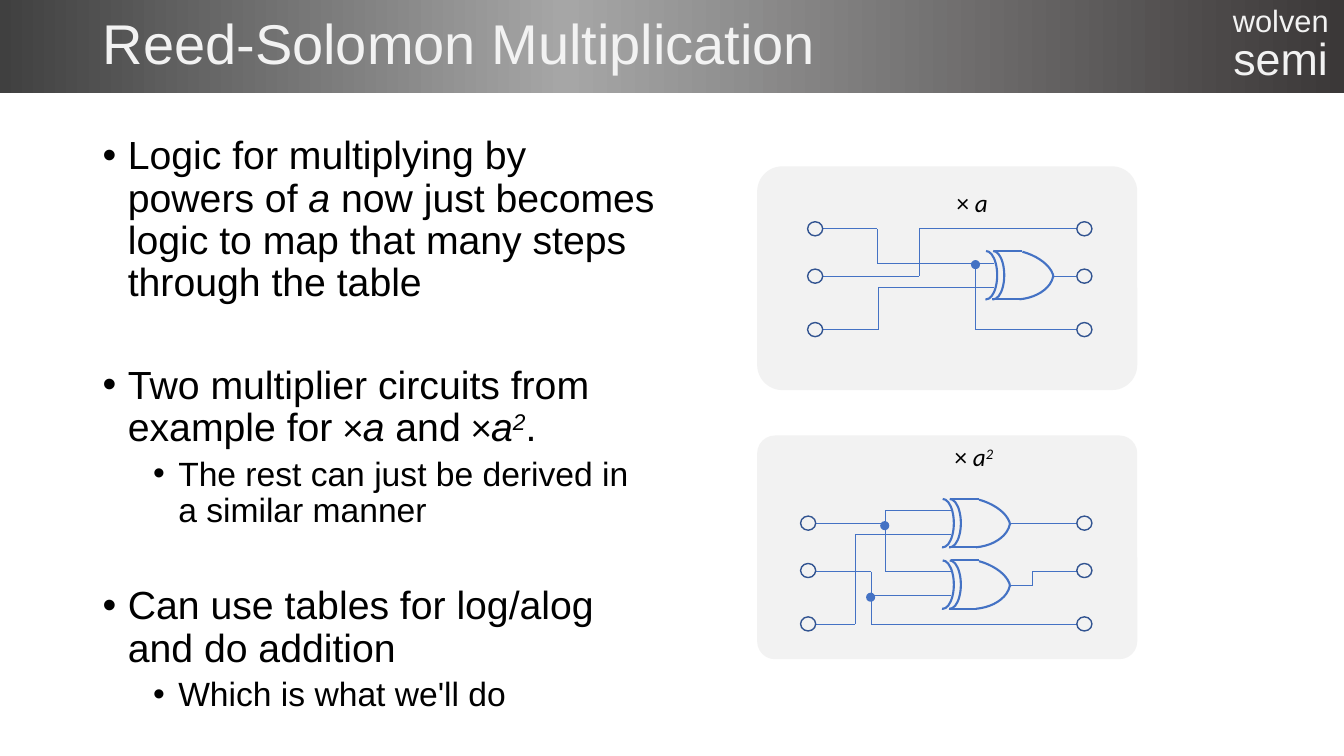
from copy import deepcopy

from lxml.etree import SubElement
from pptx import Presentation
from pptx.dml.color import RGBColor
from pptx.enum.shapes import MSO_CONNECTOR, MSO_SHAPE
from pptx.enum.text import MSO_ANCHOR, PP_ALIGN
from pptx.oxml.ns import qn
from pptx.util import Pt

PX = 9144
BLACK = RGBColor(0x00, 0x00, 0x00)
PALE = RGBColor(0xF2, 0xF2, 0xF2)
WIRE = RGBColor(0x44, 0x72, 0xC4)
PORT = RGBColor(0x32, 0x54, 0x91)
BAND_STOPS = [
    (0, RGBColor(0x40, 0x40, 0x40)),
    (0.42, RGBColor(0xA6, 0xA6, 0xA6)),
    (1, RGBColor(0x3B, 0x38, 0x38)),
]

deck = Presentation()
deck.slide_width, deck.slide_height = 1333 * PX, 750 * PX
page = deck.slides.add_slide(deck.slide_layouts[6])


def add_outline(kind, bounds, fill=None, line=None, weight=1, adjustments=()):
    shape = page.shapes.add_shape(kind, *(length * PX for length in bounds))
    shape.shadow.inherit = False
    if fill is None:
        shape.fill.background()
    else:
        shape.fill.solid()
        shape.fill.fore_color.rgb = fill
    if line is None:
        shape.line.fill.background()
    else:
        shape.line.color.rgb = line
        shape.line.width = Pt(weight)
    for index, value in enumerate(adjustments):
        shape.adjustments[index] = value
    return shape


def add_text(bounds, paragraphs, size, color, frame_format, font_name="Arial"):
    box = page.shapes.add_textbox(*(length * PX for length in bounds))
    frame = box.text_frame
    for name, value in frame_format.items():
        setattr(frame, name, value)
    for index, (para_format, spans) in enumerate(paragraphs):
        para = frame.add_paragraph() if index else frame.paragraphs[0]
        for name, value in para_format.items():
            setattr(para, name, value)
        for text, span_format in spans:
            span = para.add_run()
            span.text = text
            span.font.color.rgb = color
            values = {"size": Pt(size), "name": font_name, **span_format}
            baseline = values.pop("baseline", None)
            for name, value in values.items():
                setattr(span.font, name, value)
            if baseline:
                span.font._element.set("baseline", str(baseline))
    return box


band = add_outline(MSO_SHAPE.RECTANGLE, (0, 0, 1333, 92))
band.fill.gradient()
band.fill.gradient_angle = 0
stop_list = band._element.spPr.find(".//" + qn("a:gsLst"))
stop_list.append(deepcopy(stop_list[0]))
for stop, (position, color) in zip(band.fill.gradient_stops, BAND_STOPS):
    stop.position = position
    stop.color.rgb = color

wrapped = {"word_wrap": True}
unwrapped = {"word_wrap": False}
italic = {"italic": True}
superscript = {"italic": True, "baseline": 30000}
times = {"name": "Calibri"}
small = {"size": Pt(24)}

add_text((1183, 26, 144, 64), [({"alignment": PP_ALIGN.RIGHT}, [("semi", {})])], 32, PALE, wrapped)
add_text((1213, -3, 118, 47), [({}, [("wolven", {})])], 22, PALE, unwrapped)
add_text(
    (92, 0, 1001, 92),
    [({"line_spacing": 0.9}, [("Reed-Solomon Multiplication", {})])],
    40, PALE, {"word_wrap": True, "vertical_anchor": MSO_ANCHOR.MIDDLE},
)

bullets = [
    (0, 10, [("Logic for multiplying by powers of ", {}), ("a", italic),
             (" now just becomes logic to map that many steps through the table", {})]),
    (0, 43, [("Two multiplier circuits from example for ", {}), ("×", times), ("a", italic),
             (" and ", {}), ("×", times), ("a", italic), ("2", superscript), (".", {})]),
    (1, 5, [("The rest can just be derived in a similar manner", small)]),
    (0, 40, [("Can use tables for log/alog and do addition", {})]),
    (1, 5, [("Which is what we'll do", small)]),
]
body = add_text(
    (92, 130, 567, 582),
    [({"level": level, "line_spacing": 0.9, "space_before": Pt(gap)}, spans)
     for level, gap, spans in bullets],
    28, BLACK, wrapped,
)
for para, (level, gap, spans) in zip(body.text_frame.paragraphs, bullets):
    properties = para._p.get_or_add_pPr()
    properties.set("marL", str((25 + 50 * level) * PX))
    properties.set("indent", str(-25 * PX))
    SubElement(properties, qn("a:buFont")).set("typeface", "Arial")
    SubElement(properties, qn("a:buChar")).set("char", "•")

circuits = [
    {
        "panel_top": 165, "corner": 0.113, "ports": (801, 1068, 220),
        "gates": [(967, 249)], "dots": [(963, 258)],
        "wires": [
            [(816, 227), (870, 227), (870, 261), (986, 261)],
            [(816, 274), (912, 274), (912, 227), (1067, 227)],
            [(816, 327), (871, 327), (871, 285), (986, 285)],
            [(967, 261), (967, 327), (1067, 327)],
            [(1045, 274), (1067, 274)],
        ],
        "label": (939, 181, 52, 40), "power": [], "wrap": unwrapped,
    },
    {
        "panel_top": 432, "corner": 0.08, "ports": (794, 1068, 512),
        "gates": [(924, 495), (924, 556)], "dots": [(873, 517), (859, 588)],
        "wires": [
            [(809, 519), (878, 519)],
            [(943, 506), (878, 506), (878, 567), (943, 567)],
            [(808, 619), (848, 619), (848, 530), (943, 530)],
            [(809, 567), (864, 567), (864, 619), (1068, 619)],
            [(864, 591), (943, 591)],
            [(1002, 519), (1068, 519)],
            [(1002, 581), (1024, 581), (1024, 567), (1068, 567)],
        ],
        "label": (937, 433, 72, 40), "power": [("2", superscript)], "wrap": wrapped,
    },
]

for circuit in circuits:
    add_outline(MSO_SHAPE.ROUNDED_RECTANGLE, (751, circuit["panel_top"], 377, 222),
                fill=PALE, adjustments=[circuit["corner"]])

    strokes = [(wire, 0.5) for wire in circuit["wires"]]
    for left, top in circuit["gates"]:
        for offset in (0, 7):
            add_outline(MSO_SHAPE.ARC, (left + offset, top, 22, 48),
                        line=WIRE, weight=1.5, adjustments=(162, 55.014))
        upper = add_outline(MSO_SHAPE.ARC, (left + 4, top, 75, 42),
                            line=WIRE, weight=1.5, adjustments=(162, 211.499))
        upper.rotation = 15.4
        lower = add_outline(MSO_SHAPE.ARC, (left + 6, top - 1, 72, 49),
                            line=WIRE, weight=1.5, adjustments=(162, 211.499))
        lower.rotation = 355.1
        lower._element.spPr.find(qn("a:xfrm")).set("flipV", "1")
        strokes.append(([(left + 19, top), (left + 47, top)], 1.5))
        strokes.append(([(left + 17, top + 48), (left + 45, top + 48)], 1.5))

    for points, weight in strokes:
        for start, end in zip(points, points[1:]):
            segment = page.shapes.add_connector(
                MSO_CONNECTOR.STRAIGHT, *(length * PX for length in start + end))
            segment.line.color.rgb = WIRE
            segment.line.width = Pt(weight)
            SubElement(segment._element.spPr, qn("a:effectLst"))

    input_left, output_left, first_top = circuit["ports"]
    for left in (input_left, output_left):
        for offset in (0, 47, 100):
            add_outline(MSO_SHAPE.OVAL, (left, first_top + offset, 15, 14), line=PORT)
    for left, top in circuit["dots"]:
        add_outline(MSO_SHAPE.OVAL, (left, top, 9, 9), fill=WIRE)

    add_text(circuit["label"], [({}, [("× ", {}), ("a", italic)] + circuit["power"])],
             18, BLACK, circuit["wrap"], "Calibri")

deck.save("out.pptx")
